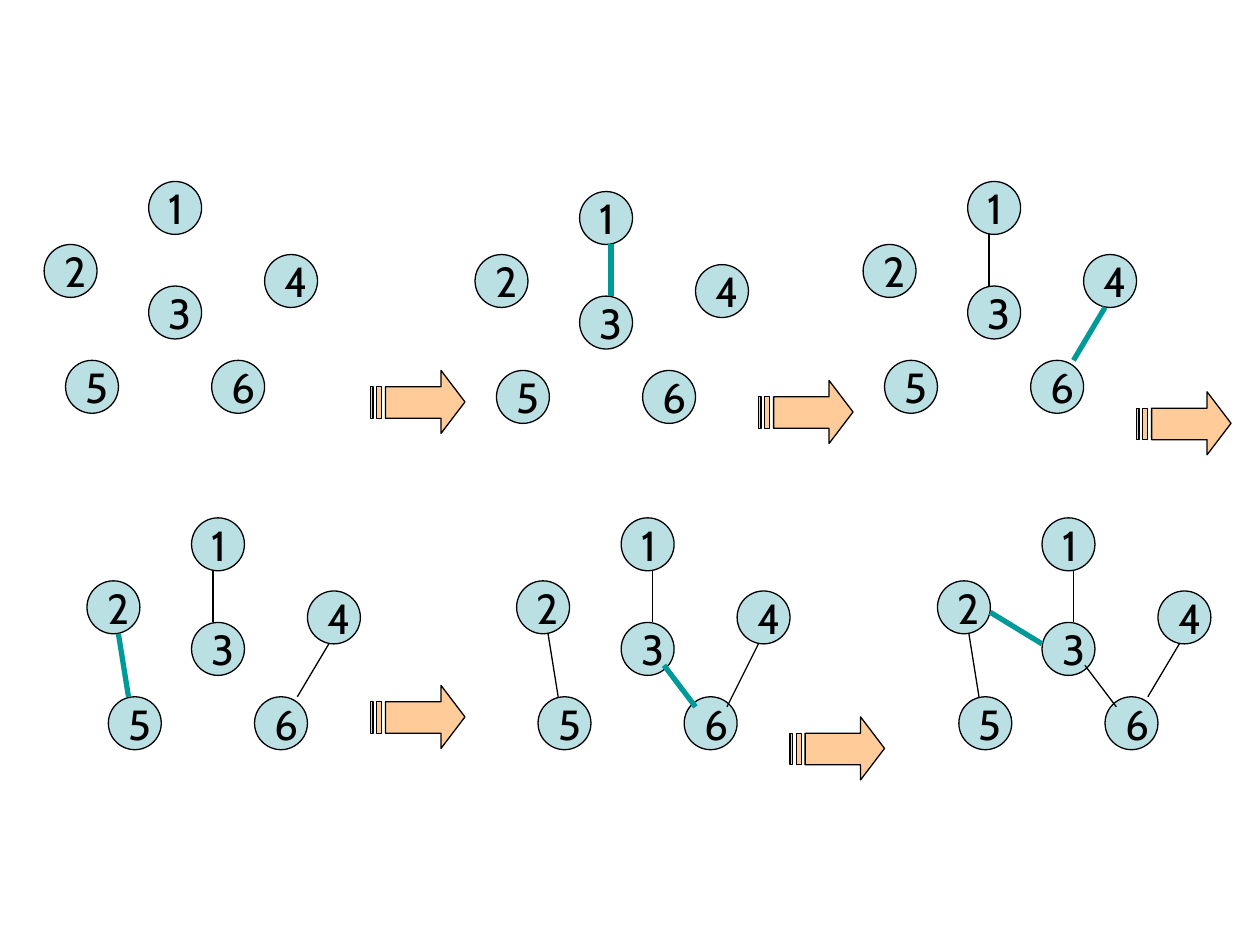
from pptx import Presentation
from pptx.dml.color import RGBColor
from pptx.enum.shapes import MSO_CONNECTOR, MSO_SHAPE
from pptx.enum.text import MSO_ANCHOR, PP_ALIGN
from pptx.oxml.ns import qn
from pptx.util import Inches, Pt
from lxml.etree import SubElement

BLACK = RGBColor(0x00, 0x00, 0x00)
NODE_FILL = RGBColor(0xBB, 0xE0, 0xE3)
ARROW_FILL = RGBColor(0xFF, 0xCC, 0x99)
NEW_EDGE = RGBColor(0x00, 0x99, 0x99)

# Node offsets within one graph
NODE_SIZE = 0.42
NODES = {"1": (0.83, 0), "2": (0, 0.5), "4": (1.75, 0.58),
         "3": (0.83, 0.83), "5": (0.17, 1.42), "6": (1.33, 1.42)}

# Edge offsets within one graph: start x, y, end x, y
EDGE_13 = (1, 0.42, 1, 0.83)
EDGE_13_RIGHT = (1.08, 0.42, 1.08, 0.83)
EDGE_46 = (1.92, 1, 1.67, 1.42)
EDGE_46_LONG = (1.92, 1, 1.67, 1.5)
EDGE_25 = (0.25, 0.92, 0.33, 1.42)
EDGE_36 = (1.17, 1.17, 1.42, 1.5)
EDGE_23 = (0.42, 0.75, 0.83, 1)

# Steps: graph origin, edges kept, edge just added
STEPS = [
    ((0.35, 1.44), [], None),
    ((3.77, 1.52), [], EDGE_13_RIGHT),
    ((6.85, 1.44), [EDGE_13], EDGE_46),
    ((0.69, 4.11), [EDGE_13, EDGE_46], EDGE_25),
    ((4.1, 4.11), [EDGE_13_RIGHT, EDGE_46_LONG, EDGE_25], EDGE_36),
    ((7.44, 4.11), [EDGE_13_RIGHT, EDGE_46, EDGE_36, EDGE_25], EDGE_23),
]

# Arrows between steps: an arrow body and two stripes
ARROWS = [(2.94, 2.94), (6.02, 3.02), (2.94, 5.44), (6.27, 5.69), (9.02, 3.11)]
ARROW_OUTLINES = [
    [(0.56, 0), (0.56, 0.13), (0.12, 0.13), (0.12, 0.38),
     (0.56, 0.38), (0.56, 0.5), (0.75, 0.25)],
    [(0.05, 0.13), (0.05, 0.38), (0.09, 0.38), (0.09, 0.13)],
    [(0, 0.13), (0, 0.38), (0.02, 0.38), (0.02, 0.13)],
]


def style(shape, fill):
    shape.shadow.inherit = False
    shape.fill.solid()
    shape.fill.fore_color.rgb = fill
    shape.line.color.rgb = BLACK
    shape.line.width = Pt(0.75)


def add_node(shapes, label, x, y):
    sp = shapes.add_shape(MSO_SHAPE.OVAL, Inches(x), Inches(y),
                          Inches(NODE_SIZE), Inches(NODE_SIZE))
    style(sp, NODE_FILL)
    tf = sp.text_frame
    tf.word_wrap = False
    tf.vertical_anchor = MSO_ANCHOR.MIDDLE
    p = tf.paragraphs[0]
    p.text = label
    p.alignment = PP_ALIGN.LEFT
    p.font.name = "Cabin"
    p.font.size = Pt(24)
    p.font.color.rgb = BLACK


def add_edge(shapes, origin, edge, color, width):
    x, y = origin
    x1, y1, x2, y2 = edge
    line = shapes.add_connector(MSO_CONNECTOR.STRAIGHT, Inches(x + x1), Inches(y + y1),
                                Inches(x + x2), Inches(y + y2))
    line.line.color.rgb = color
    line.line.width = Pt(width)
    SubElement(line._element.spPr, qn("a:effectLst"))


def add_arrow(shapes, x, y):
    outlines = [[(Inches(x + dx), Inches(y + dy)) for dx, dy in outline]
                for outline in ARROW_OUTLINES]
    builder = shapes.build_freeform(*outlines[0][0])
    builder.add_line_segments(outlines[0][1:], close=True)
    for outline in outlines[1:]:
        builder.move_to(*outline[0])
        builder.add_line_segments(outline[1:], close=True)
    style(builder.convert_to_shape(), ARROW_FILL)


prs = Presentation()
prs.slide_width, prs.slide_height = Inches(10), Inches(7.5)
s = prs.slides.add_slide(prs.slide_layouts[6])

# Graphs with the edges kept so far
for origin, kept, _ in STEPS:
    graph = s.shapes.add_group_shape().shapes
    for label, (dx, dy) in NODES.items():
        add_node(graph, label, origin[0] + dx, origin[1] + dy)
    for edge in kept:
        add_edge(graph, origin, edge, BLACK, 0.75)

# Arrows to the next step
for x, y in ARROWS:
    add_arrow(s.shapes, x, y)

# Edge added in each step
for origin, _, added in STEPS:
    if added:
        add_edge(s.shapes, origin, added, NEW_EDGE, 3)

prs.save("out.pptx")
